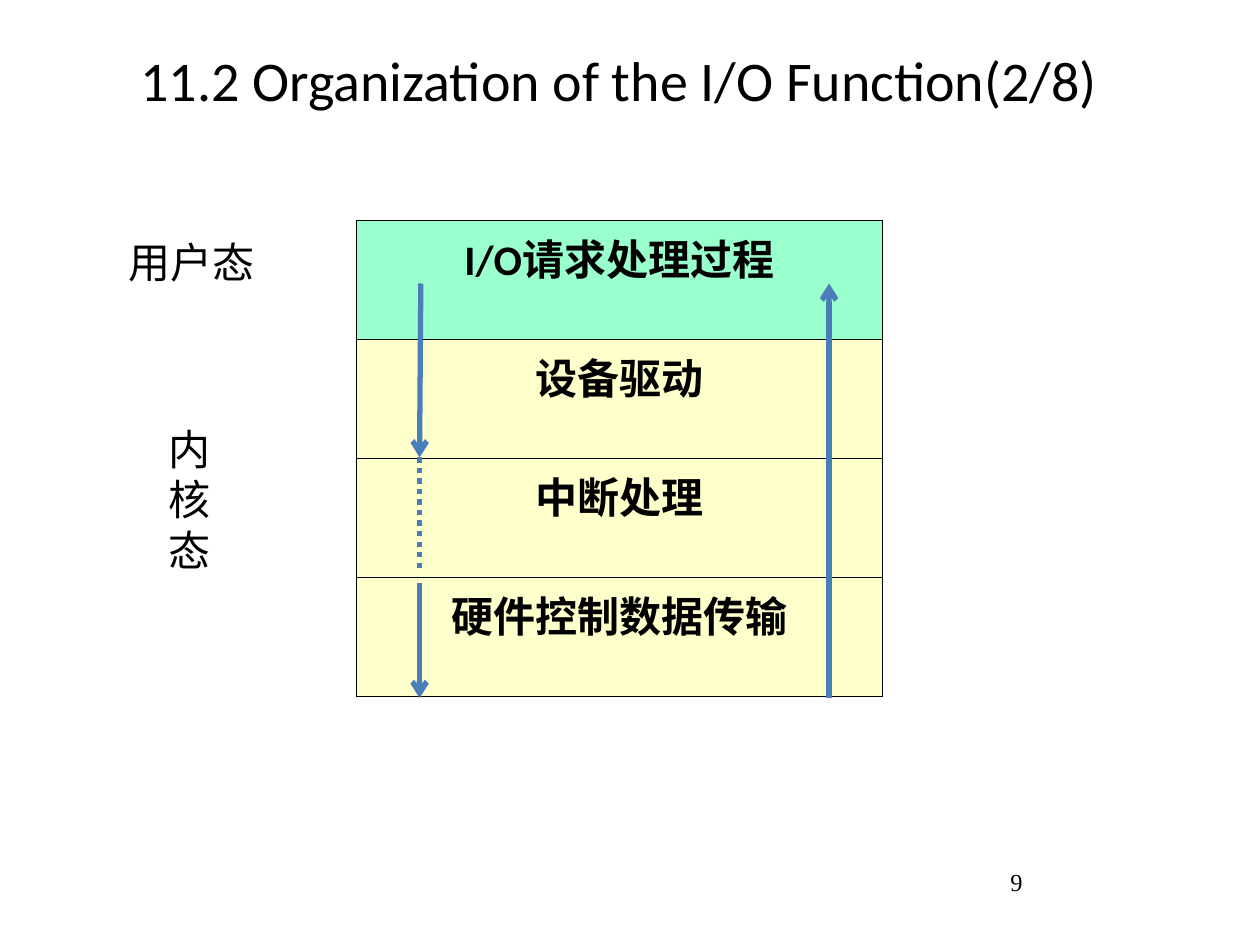
"""Build the slide on the layers of the I/O function."""
from dataclasses import dataclass

from pptx import Presentation
from pptx.dml.color import RGBColor
from pptx.enum.dml import MSO_LINE
from pptx.enum.shapes import MSO_CONNECTOR
from pptx.enum.text import MSO_ANCHOR, PP_ALIGN
from pptx.oxml import parse_xml
from pptx.oxml.ns import nsdecls
from pptx.util import Inches, Pt


@dataclass(frozen=True)
class Theme:
    ink: RGBColor = RGBColor.from_string("000000")
    arrow: RGBColor = RGBColor.from_string("4A7EBB")
    user: RGBColor = RGBColor.from_string("99FFCC")
    kernel: RGBColor = RGBColor.from_string("FFFFCC")
    heading: str = "Calibri"
    body: str = "Times New Roman"
    title_size: Pt = Pt(32)
    text_size: Pt = Pt(24)
    number_size: Pt = Pt(14)
    line_width: Pt = Pt(3)
    border: Pt = Pt(0.45)


theme = Theme()


def style(p, name, size, bold=False):
    p.font.name, p.font.size, p.font.bold = name, size, bold
    p.font.color.rgb = theme.ink


prs = Presentation()
prs.slide_width, prs.slide_height = Inches(10), Inches(7.5)
s = prs.slides.add_slide(prs.slide_layouts[5])

title = s.shapes.title
title.left, title.top = Inches(0.25), Inches(0.17)
title.width, title.height = Inches(9.33), Inches(0.92)
tf = title.text_frame
tf.vertical_anchor = MSO_ANCHOR.MIDDLE
tf.text = "11.2 Organization of the I/O Function(2/8)"
tf.paragraphs[0].alignment = PP_ALIGN.CENTER
style(tf.paragraphs[0], theme.heading, theme.title_size)

layers = [
    ("I/O请求处理过程", theme.user),
    ("设备驱动", theme.kernel),
    ("中断处理", theme.kernel),
    ("硬件控制数据传输", theme.kernel),
]
table = s.shapes.add_table(
    len(layers), 1, Inches(2.83), Inches(1.75), Inches(4.17), Inches(3.78)
).table
table.first_row = table.horz_banding = False
for row, (text, color) in enumerate(layers):
    cell = table.cell(row, 0)
    cell.text = text
    p = cell.text_frame.paragraphs[0]
    p.alignment = PP_ALIGN.CENTER
    style(p, theme.heading, theme.text_size, bold=True)
    tcPr = cell._tc.get_or_add_tcPr()
    for side in "LRTB":
        tcPr.append(parse_xml(
            f'<a:ln{side} {nsdecls("a")} w="{theme.border}"><a:solidFill>'
            f'<a:srgbClr val="{theme.ink}"/></a:solidFill></a:ln{side}>'
        ))
    cell.fill.solid()
    cell.fill.fore_color.rgb = color

flows = [
    (3.34, 2.25, 3.33, 3.63, False),
    (3.33, 4.63, 3.33, 5.54, False),
    (3.33, 3.63, 3.33, 4.54, True),
    (6.58, 5.54, 6.58, 2.25, False),
]
for x1, y1, x2, y2, dotted in flows:
    flow = s.shapes.add_connector(
        MSO_CONNECTOR.STRAIGHT, Inches(x1), Inches(y1), Inches(x2), Inches(y2)
    )
    flow.line.color.rgb = theme.arrow
    flow.line.width = theme.line_width
    if dotted:
        flow.line.dash_style = MSO_LINE.ROUND_DOT
    else:
        flow.line._get_or_add_ln().append(
            parse_xml(f'<a:tailEnd {nsdecls("a")} type="arrow"/>')
        )
    flow._element.spPr.append(parse_xml(f'<a:effectLst {nsdecls("a")}/>'))

labels = [
    ("用户态", 0.92, 1.83, 1.67, 0.5, theme.text_size),
    ("内核态", 1.24, 3.31, 0.69, 1.3, theme.text_size),
    ("9", 7.92, 6.83, 2.08, 0.5, theme.number_size),
]
for text, x, y, w, h, size in labels:
    tf = s.shapes.add_textbox(Inches(x), Inches(y), Inches(w), Inches(h)).text_frame
    tf.word_wrap = True
    tf.text = text
    style(tf.paragraphs[0], theme.body, size)

prs.save("out.pptx")
